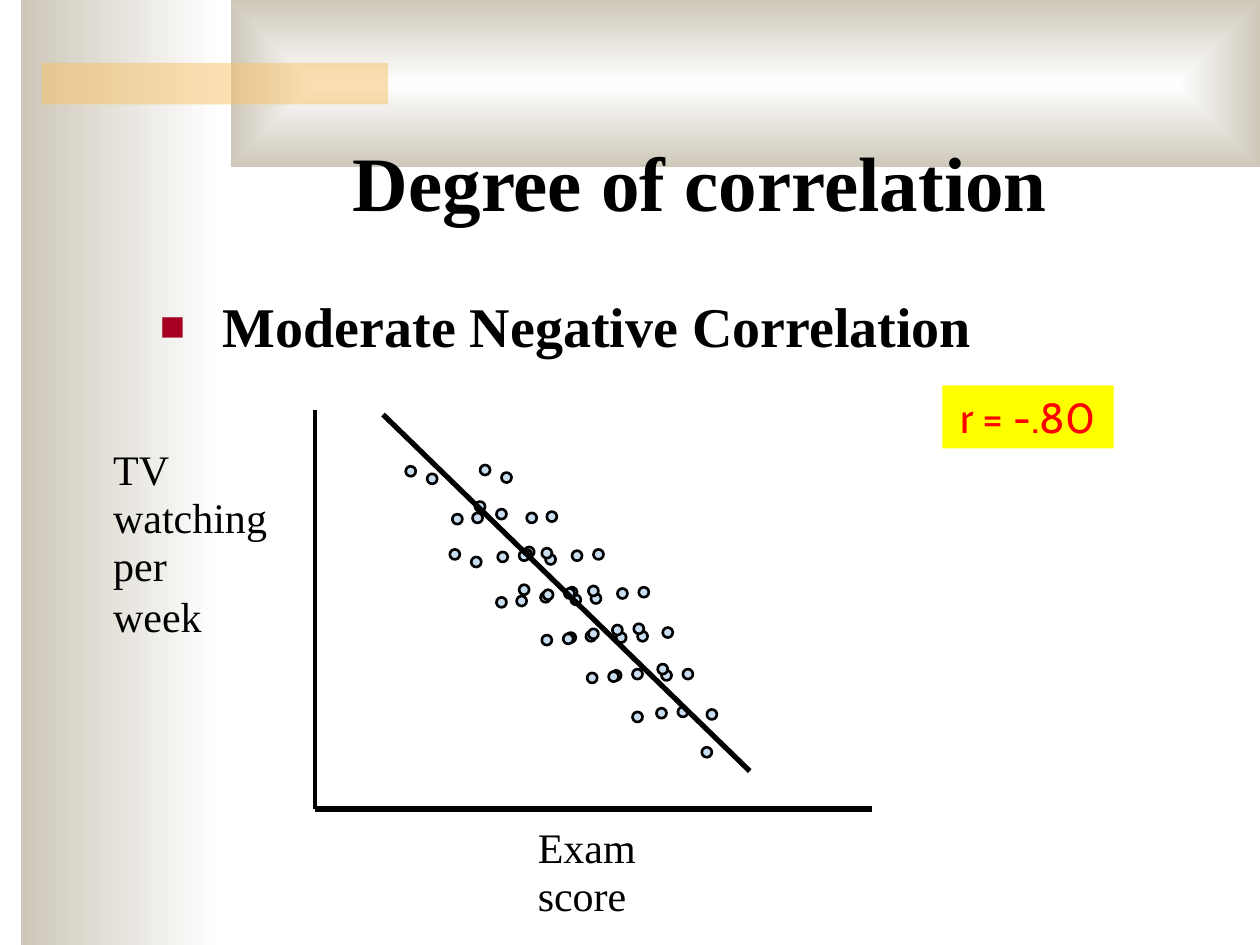
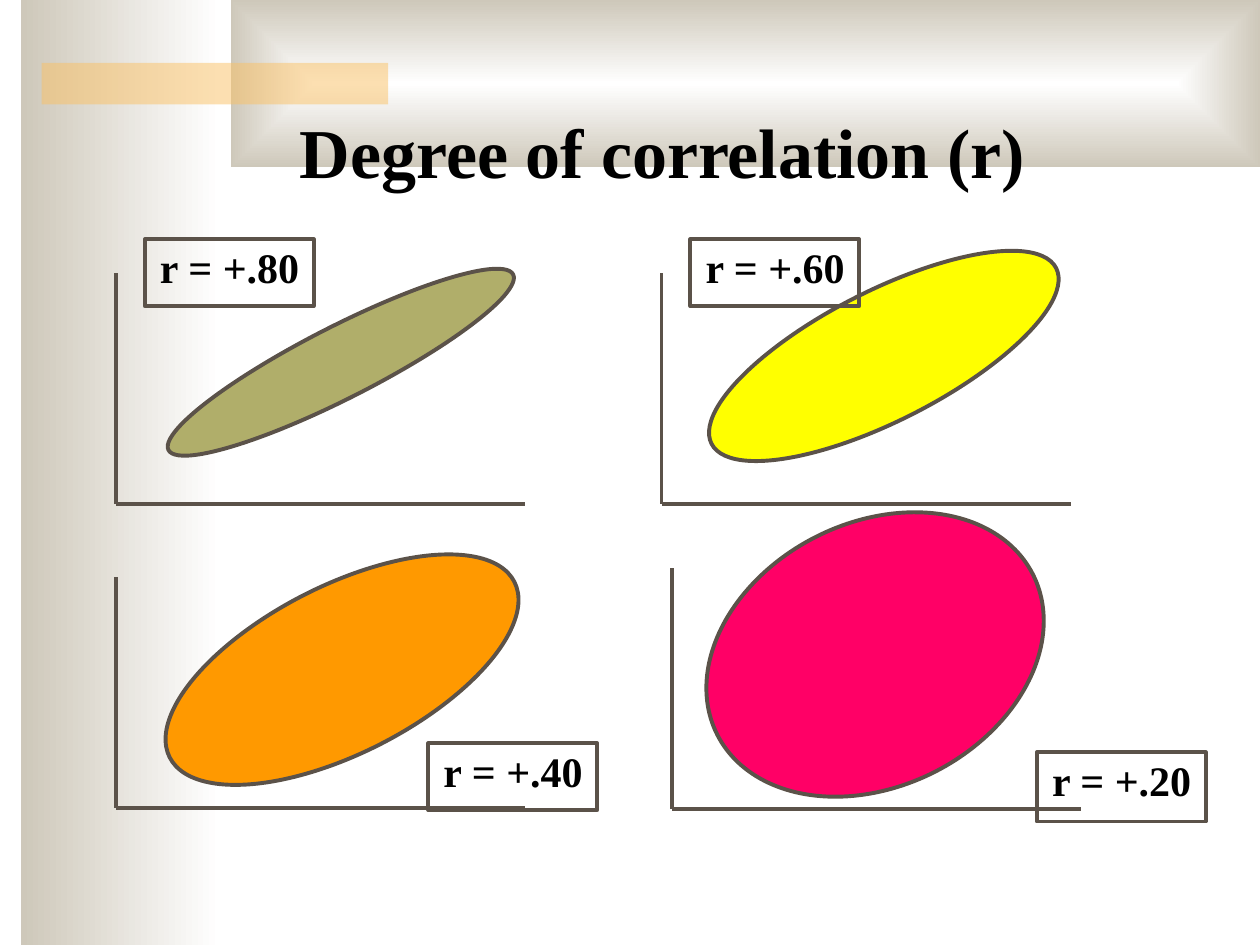
from lxml.etree import SubElement
from pptx import Presentation
from pptx.dml.color import RGBColor
from pptx.enum.shapes import MSO_CONNECTOR, MSO_SHAPE as Shape
from pptx.enum.text import MSO_ANCHOR as Anchor
from pptx.oxml import parse_xml
from pptx.oxml.ns import nsdecls, qn
from pptx.util import Inches, Pt

# Shared look
WIDTH, HEIGHT = 10, 7.5
SERIF, SANS = "Times New Roman", "Cabin"
BLACK, RED, YELLOW = "000000", "FF0000", "FFFF00"
WHITE, SAND, AMBER = "FFFFFF", "CEC8BA", "FAC164"
BULLET_RED, DOT_BLUE, BROWN = "A50021", "C9DDF1", "5B5249"
LINEAR = '<a:lin ang="10800000" scaled="0"/>'
RECTANGULAR = ('<a:path path="rect"><a:fillToRect l="50000" t="50000" '
               'r="50000" b="50000"/></a:path>')
BANDS = [((0.17, 0, 1.58, HEIGHT), LINEAR),
         ((1.83, 0, WIDTH - 1.83, 1.33), RECTANGULAR)]
ACCENT = (0.33, 0.5, 2.75, 0.33)

# Slide 1: scatter diagram
SCATTER = {
    "title": ("Degree of correlation", 44, 1.09, 0.78, 1.53),
    "point": "Moderate Negative Correlation",
    "x_label": "Exam score",
    "y_label": ["TV watching per", "week"],
    "r": "r = -.80",
}
SCATTER_CORNER, SCATTER_TOP, SCATTER_RIGHT = (2.5, 6.42), 3.25, 6.92
TREND = (5.95, 6.12), (3.04, 3.29)
DOT = 0.08
DOT_CLUSTER = [(5.57, 5.93), (5.38, 5.61), (5.21, 5.62),
               (5.02, 5.31), (4.85, 5.32), (4.65, 5.01),
               (4.49, 5.02), (4.29, 4.70), (4.12, 4.64)]
CLUSTER_SHIFTS = [(0, 0), (0.04, -0.3), (-0.55, -0.28),
                  (-0.35, -0.66), (-0.31, -0.95), (-0.9, -0.94)]

# Slide 2: axis corner, axis height, ellipse box and colour, label box
ELLIPSE_TITLE = ("Degree of correlation (r)", 40, 0.87, 0.72, 1.11)
AXIS_WIDTH, TILT = 3.25, 333
PANELS = [
    ("r = +.80", (0.92, 4), 1.83, (1.17, 2.59, 3.07, 0.57), "B0AE6A",
     (1.15, 1.9, 1.34, 0.53)),
    ("r = +.60", (5.25, 4), 1.83, (5.48, 2.31, 3.07, 1.03), YELLOW,
     (5.48, 1.9, 1.34, 0.53)),
    ("r = +.40", (0.92, 6.41), 1.83, (1.18, 4.65, 3.07, 1.33), "FF9900",
     (3.4, 5.9, 1.34, 0.53)),
    ("r = +.20", (5.33, 6.42), 1.91, (5.54, 4.15, 2.81, 2.09), "FF0066",
     (8.23, 5.97, 1.34, 0.55)),
]


def colour(hex_code):
    return RGBColor.from_string(hex_code)


def add_figure(page, kind, place, fill=None, line=None, weight=2.25, turn=0):
    figure = page.shapes.add_shape(kind, *map(Inches, place))
    figure.shadow.inherit = False
    figure.rotation = turn
    if fill:
        figure.fill.solid()
        figure.fill.fore_color.rgb = colour(fill)
    else:
        figure.fill.background()
    if line:
        figure.line.color.rgb = colour(line)
        figure.line.width = Pt(weight)
    else:
        figure.line.fill.background()
    return figure


def add_line(page, start, end, ink, weight):
    line = page.shapes.add_connector(MSO_CONNECTOR.STRAIGHT,
                                     *map(Inches, start + end))
    line.line.color.rgb = colour(ink)
    line.line.width = Pt(weight)
    SubElement(line.element.spPr, qn("a:effectLst"))


def add_axes(page, corner, top, right, ink, weights):
    x, y = corner
    add_line(page, (x, top), corner, ink, weights[0])
    add_line(page, corner, (right, y), ink, weights[1])


def write(box, lines, size, bold=False, ink=BLACK, font=SERIF, left=0.1,
          anchor=Anchor.TOP, wrap=True, spacing=0.95):
    frame = box.text_frame
    frame.text = "\n".join(lines)
    frame.word_wrap = wrap
    frame.vertical_anchor = anchor
    frame.margin_left = Inches(left)
    for para in frame.paragraphs:
        para.alignment = 1
        para.line_spacing = spacing
        for span in para.runs:
            span.font.name = font
            span.font.size = Pt(size)
            span.font.bold = bold
            span.font.color.rgb = colour(ink)
    return frame


def add_text(page, place, lines, size, **style):
    return write(page.shapes.add_textbox(*map(Inches, place)),
                 lines, size, **style)


def add_bullet(para, indent):
    para.space_before = Pt(8)
    props = para._p.get_or_add_pPr()
    props.set("marL", str(Inches(indent)))
    props.set("indent", str(-Inches(indent)))
    tint = SubElement(props, qn("a:buClr"))
    SubElement(tint, qn("a:srgbClr"), val=BULLET_RED)
    SubElement(props, qn("a:buSzPct"), val="75000")
    SubElement(props, qn("a:buFont"), typeface=SERIF)
    SubElement(props, qn("a:buChar"), char="■")


def shade(figure, direction):
    """Replace the solid fill with a white-to-sand gradient."""
    solid = figure.element.spPr.find(qn("a:solidFill"))
    stops = "".join(f'<a:gs pos="{pos}"><a:srgbClr val="{tint}"/></a:gs>'
                    for pos, tint in ((0, WHITE), (100000, SAND)))
    solid.getparent().replace(solid, parse_xml(
        f'<a:gradFill {nsdecls("a")} rotWithShape="1">'
        f'<a:gsLst>{stops}</a:gsLst>{direction}</a:gradFill>'))


def add_page(deck, title):
    page = deck.slides.add_slide(deck.slide_layouts[6])
    for place, direction in BANDS:
        shade(add_figure(page, Shape.RECTANGLE, place, SAND), direction)
    accent = add_figure(page, Shape.RECTANGLE, ACCENT, AMBER)
    tint = accent.element.spPr.find(qn("a:solidFill"))[0]
    SubElement(tint, qn("a:alpha"), val="50000")
    words, size, top, height, indent = title
    add_text(page, (1.17, top, 8.5, height), [words], size, bold=True,
             left=0.1 + indent, anchor=Anchor.BOTTOM)
    return page


def build_scatter(deck):
    page = add_page(deck, SCATTER["title"])
    point = add_text(page, (1.17, 2.3, 8.5, 0.83), [SCATTER["point"]], 32,
                     bold=True)
    add_bullet(point.paragraphs[0], 0.5)
    add_axes(page, SCATTER_CORNER, SCATTER_TOP, SCATTER_RIGHT, BLACK,
             (2.25, 3))
    add_text(page, (4.17, 6.5, 1.76, 0.48), [SCATTER["x_label"]], 24,
             wrap=False)
    label = add_text(page, (0.8, 3.5, 1.53, 1.64), SCATTER["y_label"], 24)
    label.paragraphs[-1].line_spacing = 1.0
    for shift_x, shift_y in CLUSTER_SHIFTS:
        for x, y in DOT_CLUSTER:
            add_figure(page, Shape.OVAL, (x + shift_x, y + shift_y, DOT, DOT),
                       DOT_BLUE, BLACK, 1.5, turn=175)
    add_line(page, *TREND, BLACK, 3)
    badge = add_figure(page, Shape.RECTANGLE, (7.48, 3.06, 1.36, 0.5), YELLOW)
    write(badge, [SCATTER["r"]], 24, ink=RED, font=SANS, left=0.14,
          wrap=False, spacing=1.0)


def build_ellipses(deck):
    page = add_page(deck, ELLIPSE_TITLE)
    for words, corner, height, oval, fill, frame in PANELS:
        x, y = corner
        add_axes(page, corner, y - height, x + AXIS_WIDTH, BROWN, (2.25, 2.25))
        add_figure(page, Shape.OVAL, oval, fill, BROWN, turn=TILT)
        label = add_figure(page, Shape.RECTANGLE, frame, line=BROWN)
        write(label, [words], 24, bold=True, left=0.12, wrap=False)


def main():
    deck = Presentation()
    deck.slide_width, deck.slide_height = Inches(WIDTH), Inches(HEIGHT)
    build_scatter(deck)
    build_ellipses(deck)
    deck.save("out.pptx")


if __name__ == "__main__":
    main()
